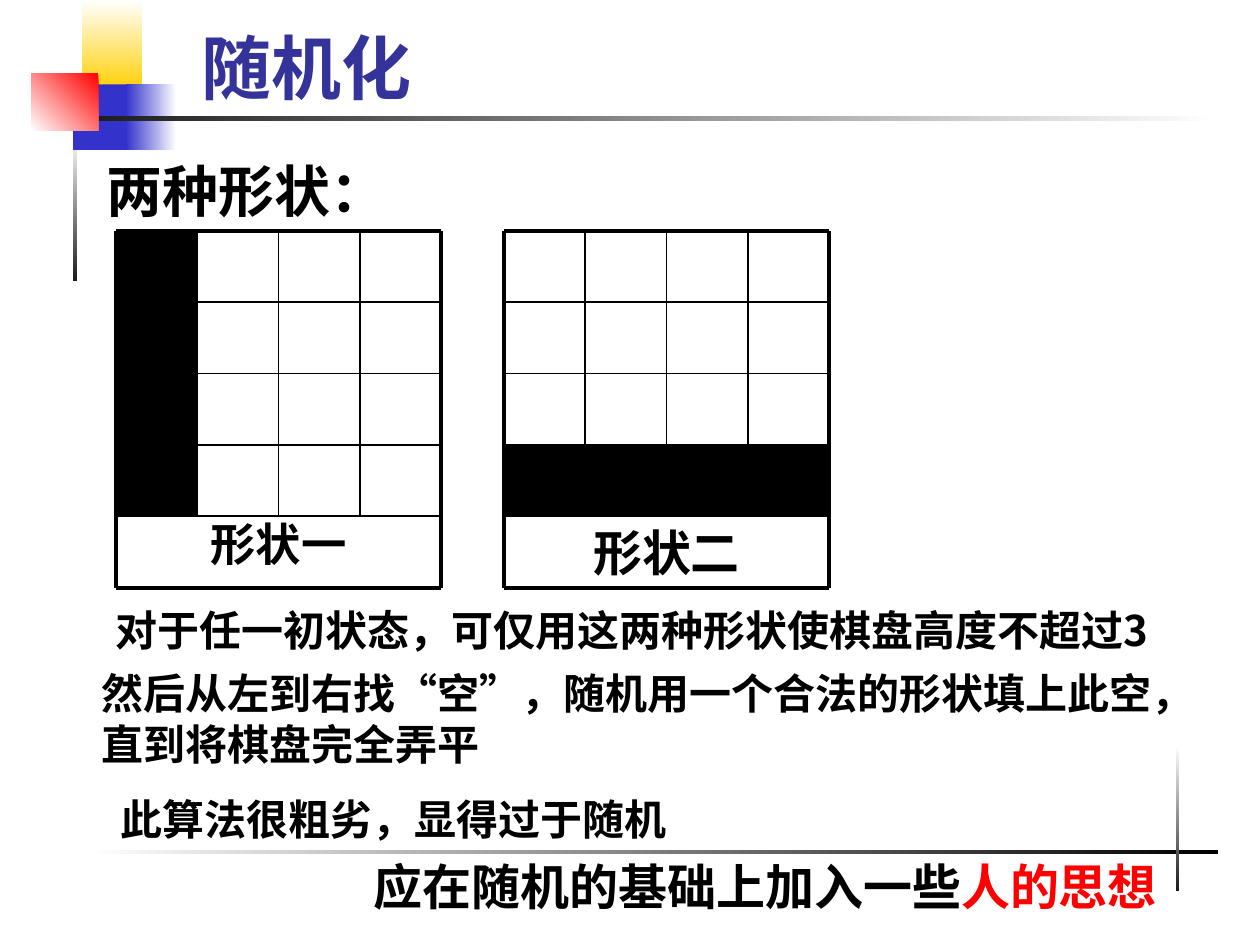
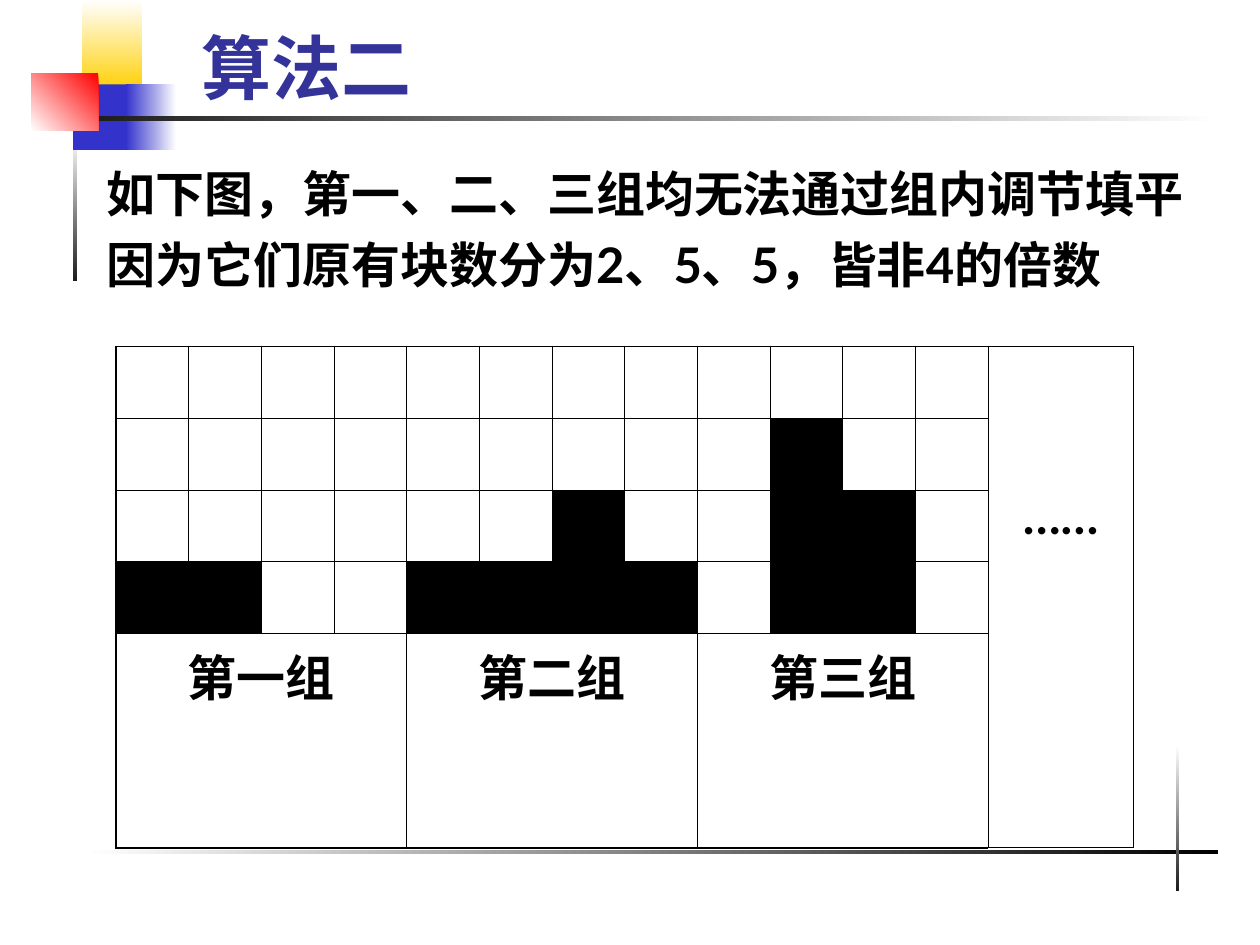
import pptx
import pptx.util
import pptx.dml.color
import pptx.enum.dml
import pptx.enum.shapes
import pptx.enum.text
import pptx.oxml
import pptx.oxml.ns

Inches = pptx.util.Inches
Pt = pptx.util.Pt
RGBColor = pptx.dml.color.RGBColor
Align = pptx.enum.text.PP_ALIGN
Fit = pptx.enum.text.MSO_AUTO_SIZE

BLACK = RGBColor(0, 0, 0)
WHITE = RGBColor(255, 255, 255)
RED = RGBColor(255, 0, 0)
YELLOW = RGBColor(0xFF, 0xCF, 0x01)
BLUE = RGBColor(0x33, 0x33, 0xCC)
NAVY = RGBColor(0x33, 0x33, 0x99)
COAL = RGBColor(0x1C, 0x1C, 0x1C)

LATIN = "Lato"
HAN = "Noto Sans CJK SC"
ROMAN = "Times New Roman"

DECOR = [
    (0.58, 1.08, 0.03, 1.15, WHITE, COAL, 90),
    (0.65, 0, 0.48, 0.72, WHITE, YELLOW, 90),
    (0.58, 0.67, 0.46, 0.52, BLUE, None, 0),
    (1, 0.67, 0.4, 0.52, WHITE, BLUE, 180),
    (0.67, 0.92, 9, 0.04, WHITE, COAL, 180),
    (0.67, 6.75, 9, 0.03, BLACK, WHITE, 180),
    (9.33, 5.92, 0.03, 1.15, WHITE, COAL, 90),
    (0.25, 0.58, 0.53, 0.46, RED, WHITE, 135),
]


class Deck:
    def __init__(self):
        self.show = pptx.Presentation()
        self.show.slide_width = Inches(10)
        self.show.slide_height = Inches(7.5)
        self.slide = None

    def start(self, title):
        self.slide = self.show.slides.add_slide(self.show.slide_layouts[5])
        for item in DECOR:
            self.rect(*item)
        head = self.slide.shapes.title
        head.left, head.top = Inches(1.5), Inches(0.33)
        head.width, head.height = Inches(7.92), Inches(0.58)
        frame = head.text_frame
        frame.text = title
        frame.auto_size = Fit.NONE
        frame.vertical_anchor = pptx.enum.text.MSO_ANCHOR.BOTTOM
        frame.paragraphs[0].alignment = Align.LEFT
        self.style(frame.paragraphs[0], 40, LATIN, NAVY)

    def style(self, para, size, font=LATIN, color=BLACK):
        for run in para.runs:
            run.font.size = Pt(size)
            run.font.name = font
            run.font.bold = True
            run.font.color.rgb = color
            east = pptx.oxml.parse_xml(
                f'<a:ea {pptx.oxml.ns.nsdecls("a")} typeface="{HAN}"/>')
            run.font._element.find(pptx.oxml.ns.qn("a:latin")).addnext(east)

    def rect(self, left, top, width, height, color, end=None, angle=0):
        shape = self.slide.shapes.add_shape(
            pptx.enum.shapes.MSO_SHAPE.RECTANGLE,
            Inches(left), Inches(top), Inches(width), Inches(height))
        shape.shadow.inherit = False
        shape.line.fill.background()
        if end is None:
            shape.fill.solid()
            shape.fill.fore_color.rgb = color
        else:
            shape.fill.gradient()
            shape.fill.gradient_angle = 360 - angle
            for stop, tint in zip(shape.fill.gradient_stops, (color, end)):
                stop.color.rgb = tint

    def line(self, left, top, right, bottom, width):
        link = self.slide.shapes.add_connector(
            pptx.enum.shapes.MSO_CONNECTOR.STRAIGHT,
            Inches(left), Inches(top), Inches(right), Inches(bottom))
        link.line.color.rgb = BLACK
        link.line.width = Pt(width)
        link._element.spPr.append(pptx.oxml.parse_xml(
            f'<a:effectLst {pptx.oxml.ns.nsdecls("a")}/>'))

    def text(self, left, top, width, height, lines, size, font=LATIN,
             align=Align.LEFT, gap=0, space=None):
        box = self.slide.shapes.add_textbox(
            Inches(left), Inches(top), Inches(width), Inches(height))
        frame = box.text_frame
        frame.text = "\n".join(lines)
        frame.word_wrap = True
        frame.auto_size = Fit.NONE
        for row, para in enumerate(frame.paragraphs):
            para.alignment = align
            para.line_spacing = space
            if row:
                para.space_before = Pt(gap)
            self.style(para, size, font)
        return frame

    def board(self, left, name, size, dark, space=None):
        top, wide, high = 1.83, 0.645, 0.567
        right, floor, base = left + 4 * wide, top + 4 * high, top + 5 * high
        self.text(left, floor, 4 * wide, high, [name], size,
                  align=Align.CENTER, space=space)
        for col, row in dark:
            self.rect(left + col * wide, top + row * high, wide, high, BLACK)
        for row in range(6):
            level = top + row * high
            self.line(left, level, right, level, 2.25 if row in (0, 5) else 1)
        for col in range(5):
            edge = col in (0, 4)
            side = left + col * wide
            self.line(side, top, side, base if edge else floor,
                      2.25 if edge else 1)

    def cell(self, cell, dark, edges):
        cell.fill.background()
        if dark:
            cell.fill.solid()
            cell.fill.fore_color.rgb = BLACK
        props = cell._tc.get_or_add_tcPr()
        for place, side in enumerate("LRTB"):
            width = Pt(1.08 if side in edges else 0.45)
            props.insert(place, pptx.oxml.parse_xml(
                f'<a:ln{side} {pptx.oxml.ns.nsdecls("a")} w="{width}">'
                f'<a:solidFill><a:srgbClr val="{BLACK}"/></a:solidFill>'
                f'</a:ln{side}>'))

    def label(self, cell, name):
        cell.text_frame.text = name
        para = cell.text_frame.paragraphs[0]
        para.alignment = Align.CENTER
        self.style(para, 28)

    def table(self, left, top, wide, highs, grid, names):
        last, cols = len(highs) - 1, len(grid[0])
        table = self.slide.shapes.add_table(
            last + 1, cols + 1, Inches(left), Inches(top),
            Inches(wide * (cols + 2)), Inches(sum(highs))).table
        table.first_row = table.horz_banding = False
        for col, column in enumerate(table.columns):
            column.width = Inches(wide if col < cols else 2 * wide)
        for row, high in enumerate(highs):
            table.rows[row].height = Inches(high)
            for col in range(cols + 1):
                edges = (("L" if col == 0 else "") + ("R" if col == cols else "")
                         + ("T" if row == 0 else "") + ("B" if row == last else ""))
                dark = row < last and col < cols and grid[row][col] == "#"
                self.cell(table.cell(row, col), dark, edges)
        for group, name in enumerate(names):
            first = table.cell(last, 4 * group)
            first.merge(table.cell(last, 4 * group + 3))
            self.label(first, name)
        rest = table.cell(0, cols)
        rest.merge(table.cell(last, cols))
        rest.margin_top = Inches(1.11)
        self.label(rest, "……")


def shapes(deck):
    deck.start("随机化")
    deck.text(0.75, 1.25, 8.58, 0.58, ["两种形状："], 32, space=0.9)
    deck.board(0.92, "形状一", 25.9, [(0, row) for row in range(4)], 0.9)
    deck.board(4, "形状二", 28, [(col, 3) for col in range(4)])
    deck.text(0.82, 4.75, 8.8, 0.5,
              ["对于任一初状态，可仅用这两种形状使棋盘高度不超过3"], 24, HAN)
    deck.text(0.71, 5.25, 9.1, 0.9,
              ["然后从左到右找“空”，随机用一个合法的形状填上此空，",
               "直到将棋盘完全弄平"], 24, HAN)
    moral = deck.text(2.87, 6.75, 6.8, 0.57, ["应在随机的基础上加入一些"],
                      28, ROMAN).paragraphs[0]
    moral.add_run().text = "人的思想"
    deck.style(moral, 28, ROMAN)
    moral.runs[1].font.color.rgb = RED
    deck.text(0.86, 6.25, 4.8, 0.5, ["此算法很粗劣，显得过于随机"], 24, ROMAN)


def groups(deck):
    deck.start("算法二")
    deck.text(0.75, 1.25, 8.92, 1.17,
              ["如下图，第一、二、三组均无法通过组内调节填平",
               "因为它们原有块数分为2、5、5，皆非4的倍数"], 28, gap=7)
    grid = ["............",
            ".........#..",
            "......#..##.",
            "##..####.##."]
    deck.table(0.92, 2.75, 0.577, [0.57] * 4 + [1.7], grid,
               ["第一组", "第二组", "第三组"])


def main():
    deck = Deck()
    shapes(deck)
    groups(deck)
    deck.show.save("out.pptx")


if __name__ == "__main__":
    main()
